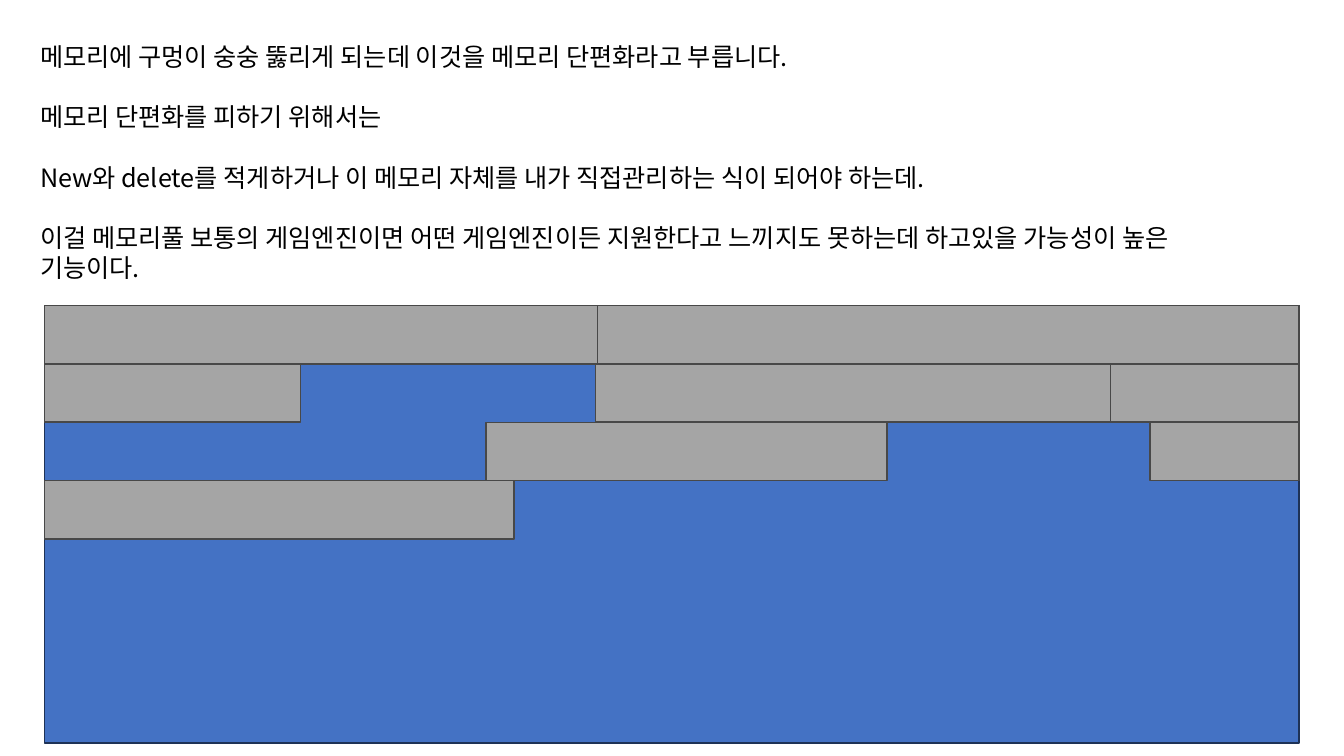
from pptx import Presentation
from pptx.dml.color import RGBColor as Rgb
from pptx.enum.shapes import MSO_SHAPE as Kind
from pptx.enum.text import MSO_AUTO_SIZE as Fit
from pptx.oxml.ns import qn
from pptx.util import Cm, Pt
from lxml.etree import SubElement as Sub

FONT = "Noto Sans CJK KR"
LINES = [
    "메모리에 구멍이 숭숭 뚫리게 되는데 이것을 메모리 단편화라고 부릅니다.",
    "메모리 단편화를 피하기 위해서는",
    "New와 delete를 적게하거나 이 메모리 자체를 내가 직접관리하는 식이 되어야 하는데.",
    "이걸 메모리풀 보통의 게임엔진이면 어떤 게임엔진이든 지원한다고 느끼지도 못하는데 "
    "하고있을 가능성이 높은 기능이다.",
]
TEXT = (0.76, 0.91, 31.29, 6.4)
HEAP = (1.12, 7.7, 31.62, 11.02)
ROW = 1.47
BLOCKS = [
    [(0, 13.94), (13.94, 17.68)],
    [(0, 6.45), (13.89, 12.98), (26.87, 4.75)],
    [(11.13, 10.11), (27.86, 3.76)],
    [(0, 11.84)],
]
PITCH = Pt(21.6)
PARA = {"line_spacing": PITCH, "space_after": PITCH}
STYLE = {"name": FONT, "size": Pt(18)}


def color(code):
    return Rgb.from_string(code)


def apply(item, style):
    for name, value in style.items():
        setattr(item, name, value)


def add_box(slide, area, fill, edge):
    box = slide.shapes.add_shape(Kind.RECTANGLE, *map(Cm, area))
    box.shadow.inherit = False
    box.fill.solid()
    box.fill.fore_color.rgb = color(fill)
    box.line.color.rgb = color(edge)
    box.line.width = Pt(1)


def add_text(slide):
    frame = slide.shapes.add_textbox(*map(Cm, TEXT)).text_frame
    apply(frame, {"word_wrap": True, "auto_size": Fit.SHAPE_TO_FIT_TEXT})
    for i, line in enumerate(LINES):
        para = frame.paragraphs[0] if i == 0 else frame.add_paragraph()
        apply(para, PARA)
        run = para.add_run()
        run.text = line
        apply(run.font, STYLE)
        run.font.color.rgb = color("000000")
        Sub(run._r.get_or_add_rPr(), qn("a:ea"), typeface=FONT)
    para.space_after = Pt(0)


def main():
    deck = Presentation()
    apply(deck, {"slide_width": Cm(33.87), "slide_height": Cm(19.05)})
    slide = deck.slides.add_slide(deck.slide_layouts[6])
    add_box(slide, HEAP, "4472C4", "1E3256")
    left, top = HEAP[:2]
    for i, row in enumerate(BLOCKS):
        for start, width in row:
            area = (left + start, top + i * ROW, width, ROW)
            add_box(slide, area, "A5A5A5", "484848")
    add_text(slide)
    deck.save("out.pptx")


if __name__ == "__main__":
    main()
